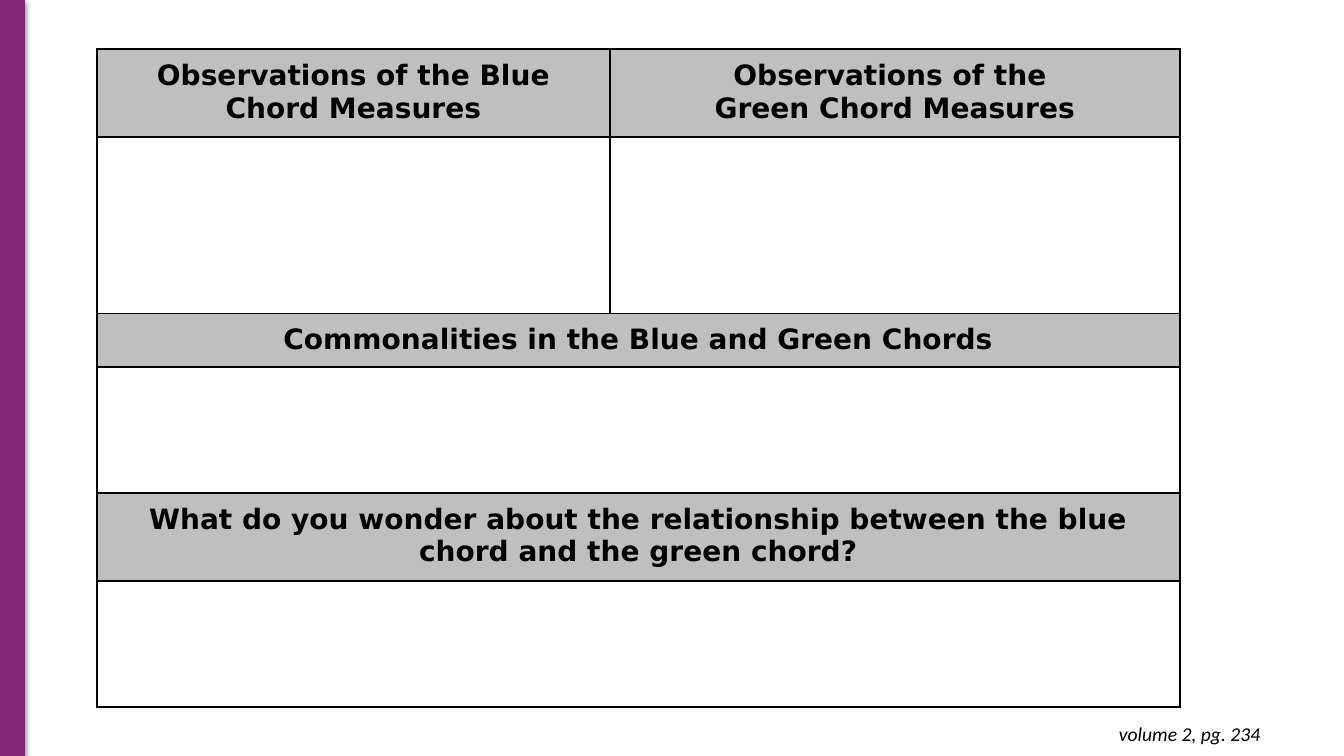
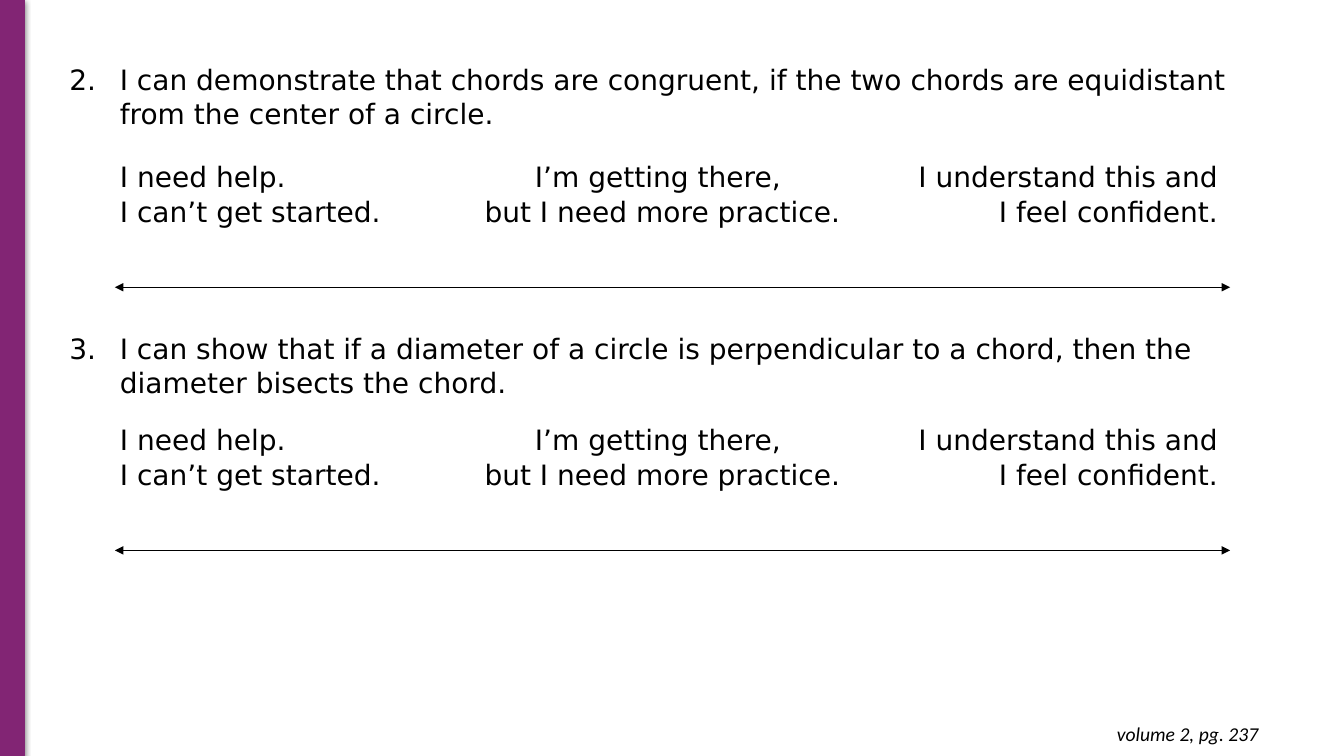
from lxml.etree import SubElement
from pptx import Presentation
from pptx.dml.color import RGBColor
from pptx.enum.shapes import MSO_CONNECTOR, MSO_SHAPE
from pptx.enum.text import MSO_ANCHOR, PP_ALIGN
from pptx.oxml import parse_xml
from pptx.oxml.ns import nsdecls, qn
from pptx.util import Inches, Pt

PURPLE, GRAY, BLACK = "822574", "BFBFBF", "000000"
BODY_FONT, FOOTER_FONT = "DejaVu Sans", "Calibri"


def rgb(color):
    return RGBColor.from_string(color)


def write(p, text, size=20, font=BODY_FONT, bold=False, italic=False):
    """Add text to a paragraph, with a line break at each newline."""
    for i, line in enumerate(text.split("\n")):
        if i:
            p.add_line_break()
        r = p.add_run()
        r.text = line
        r.font.size = Pt(size)
        r.font.name = font
        r.font.bold = bold
        r.font.italic = italic
        r.font.color.rgb = rgb(BLACK)


prs = Presentation()
prs.slide_width, prs.slide_height = Inches(13.33), Inches(7.5)

# Shared side band and page reference
slides = []
for page, footer_left in ((234, 9.72), (237, 9.7)):
    s = prs.slides.add_slide(prs.slide_layouts[6])
    slides.append(s)

    band = s.shapes.add_shape(MSO_SHAPE.RECTANGLE, 0, 0, Inches(0.24), prs.slide_height)
    band.fill.solid()
    band.fill.fore_color.rgb = rgb(PURPLE)
    band.line.color.rgb = rgb(PURPLE)
    band.line.width = Pt(0.75)
    band.shadow.inherit = False
    band.element.spPr.find(qn("a:effectLst")).append(parse_xml(
        f'<a:outerShdw {nsdecls("a")} blurRad="{Pt(4.5)}" dist="{Pt(1.5)}" dir="5400000" rotWithShape="0">'
        f'<a:srgbClr val="{BLACK}"><a:alpha val="50000"/></a:srgbClr></a:outerShdw>'))

    footer = s.shapes.add_textbox(Inches(footer_left), Inches(7.06), Inches(2.88), Inches(0.44))
    tf = footer.text_frame
    tf.word_wrap = True
    tf.margin_top = tf.margin_bottom = Inches(0.1)
    tf.paragraphs[0].alignment = PP_ALIGN.RIGHT
    write(tf.paragraphs[0], f"volume 2, pg. {page}", 14, FOOTER_FONT, italic=True)

observation_slide, rating_slide = slides

# Observation table: each heading row is followed by an empty answer row
sections = [
    (["Observations of the Blue Chord Measures", "Observations of the \nGreen Chord Measures"], 0.87, 1.75),
    (["Commonalities in the Blue and Green Chords"], 0.53, 1.25),
    (["What do you wonder about the relationship between the blue chord and the green chord?"], 0.87, 1.25),
]
table = observation_slide.shapes.add_table(
    2 * len(sections), 2, Inches(0.96), Inches(0.49), Inches(10.74), Inches(6.52)).table
table.first_row = table.horz_banding = False
for column, width in zip(table.columns, (5.09, 5.65)):
    column.width = Inches(width)

for cell in table.iter_cells():
    tcPr = cell._tc.get_or_add_tcPr()
    for side in ("lnL", "lnR", "lnT", "lnB"):
        tcPr.append(parse_xml(
            f'<a:{side} {nsdecls("a")} w="{Pt(1.5)}"><a:solidFill>'
            f'<a:srgbClr val="{BLACK}"/></a:solidFill></a:{side}>'))
    cell.fill.background()

for i, (headings, heading_height, answer_height) in enumerate(sections):
    top = 2 * i
    table.rows[top].height = Inches(heading_height)
    table.rows[top + 1].height = Inches(answer_height)
    if len(headings) == 1:
        for row in (top, top + 1):
            table.cell(row, 0).merge(table.cell(row, 1))
    for col, heading in enumerate(headings):
        cell = table.cell(top, col)
        cell.fill.solid()
        cell.fill.fore_color.rgb = rgb(GRAY)
        cell.margin_left = cell.margin_right = Inches(0.1)
        cell.margin_top = cell.margin_bottom = Inches(0.1)
        p = cell.text_frame.paragraphs[0]
        p.alignment = PP_ALIGN.CENTER
        write(p, heading, bold=True)

# Self-rating: numbered statement, three labels and a double-headed scale
statements = [
    (2, "I can demonstrate that chords are congruent, if the two chords are equidistant "
        "from the center of a circle.", 0.57, 1.57),
    (3, "I can show that if a diameter of a circle is perpendicular to a chord, then the "
        "diameter bisects the chord.", 3.24, 4.18),
]
ratings = [
    ("I need help. \nI can’t get started.", PP_ALIGN.LEFT, 3.06),
    ("I’m getting there, \nbut I need more practice.", PP_ALIGN.CENTER, 4.78),
    ("I understand this and I feel confident.", PP_ALIGN.RIGHT, 3.19),
]
for number, statement, statement_top, ratings_top in statements:
    box = rating_slide.shapes.add_textbox(Inches(0.59), Inches(statement_top), Inches(12.1), Inches(0.8))
    box.text_frame.word_wrap = True
    p = box.text_frame.paragraphs[0]
    pPr = p._p.get_or_add_pPr()
    pPr.set("marL", str(Inches(0.5)))
    pPr.set("indent", str(Inches(-0.5)))
    SubElement(pPr, qn("a:buFont"), typeface="+mj-lt")
    SubElement(pPr, qn("a:buAutoNum"), type="arabicPeriod", startAt=str(number))
    write(p, statement)

    table = rating_slide.shapes.add_table(
        2, 3, Inches(1.12), Inches(ratings_top), Inches(11.03), Inches(1.15)).table
    table.first_row = table.horz_banding = False
    table.rows[0].height, table.rows[1].height = Inches(0.69), Inches(0.46)
    for cell in table.iter_cells():
        cell.fill.background()
    for col, (label, align, width) in enumerate(ratings):
        table.columns[col].width = Inches(width)
        cell = table.cell(0, col)
        cell.vertical_anchor = MSO_ANCHOR.MIDDLE
        cell.margin_left = cell.margin_right = Inches(0.07)
        cell.margin_top = cell.margin_bottom = 0
        p = cell.text_frame.paragraphs[0]
        p.alignment = align
        p.line_spacing = 1.07
        write(p, label)
    table.cell(1, 0).merge(table.cell(1, 2))

    scale_y = Inches(ratings_top + 1.28)
    scale = rating_slide.shapes.add_connector(
        MSO_CONNECTOR.STRAIGHT, Inches(1.14), scale_y, Inches(12.2), scale_y)
    scale.line.color.rgb = rgb(BLACK)
    scale.line.width = Pt(0.75)
    spPr = scale.element.spPr
    for end in ("a:headEnd", "a:tailEnd"):
        SubElement(spPr.find(qn("a:ln")), qn(end), type="triangle")
    SubElement(spPr, qn("a:effectLst"))

prs.save("out.pptx")
